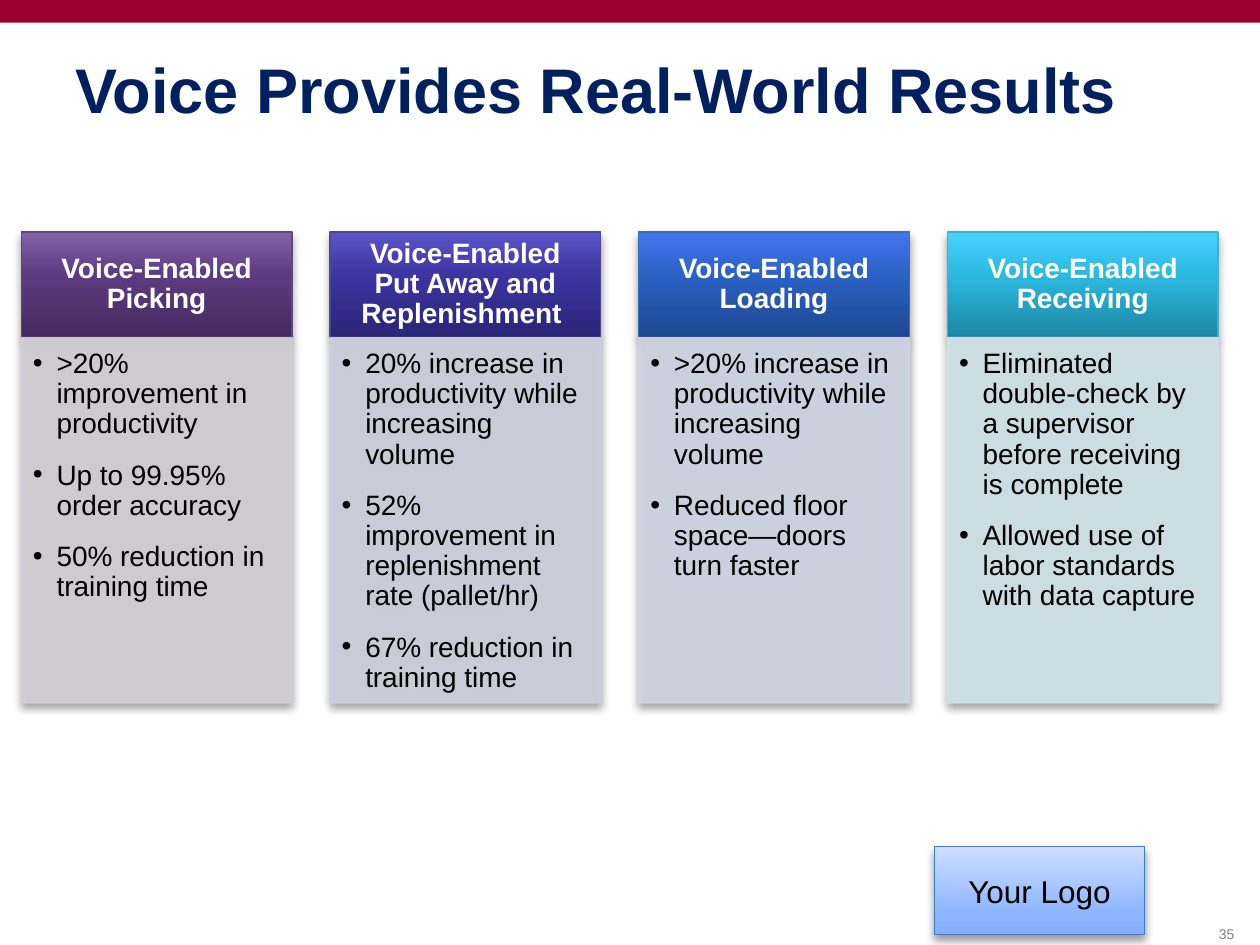
from copy import deepcopy

from lxml import etree
from pptx import Presentation
from pptx.dml.color import RGBColor
from pptx.enum.shapes import MSO_SHAPE
from pptx.enum.text import MSO_ANCHOR, MSO_AUTO_SIZE, PP_ALIGN
from pptx.oxml.ns import qn
from pptx.util import Pt

RECTANGLE = MSO_SHAPE.RECTANGLE
LEFT, CENTER = PP_ALIGN.LEFT, PP_ALIGN.CENTER
TOP, MIDDLE = MSO_ANCHOR.TOP, MSO_ANCHOR.MIDDLE
NO_FIT = MSO_AUTO_SIZE.NONE

FONT = "Arial"
COLORS = {
    "banner": "9C0030", "title": "002060", "text": "000000",
    "header_text": "FFFFFF", "number": "808080", "logo_line": "337ED9",
    "shadow": "000000",
}
LOGO_STOPS = [(0, "84AFFD"), (0.25, "8EB6FF"), (1, "CEDEFF")]
HEADER_POSITIONS = (0, 0.6, 1)

COLUMN_LEFT, COLUMN_STEP, COLUMN_WIDTH = 12.1, 176.4, 154.8
HEADER_TOP, HEADER_HEIGHT, BODY_HEIGHT = 132.5, 60.4, 208.8
HEADER_MARGINS = (8.96, 5.12, 8.96, 5.12)
BODY_MARGINS = (6.72, 6.72, 8.96, 10.08)
DEFAULT_MARGINS = (7.2, 3.6, 7.2, 3.6)
BULLET_INDENT = 13.5

# Header text, header gradient, header line, body colour, bullet points
COLUMNS = [
    ("Voice-Enabled Picking", ("442A5E", "5E3B81", "8364A8"), "604878", "D2CFD6",
     [">20% improvement in productivity",
      "Up to 99.95% order accuracy",
      "50% reduction in training time"]),
    ("Voice-Enabled Put Away and Replenishment ",
     ("2A2576", "3C35A2", "5C56C9"), "4E4893", "CFCFDE",
     ["20% increase in productivity while increasing volume",
      "52% improvement in replenishment rate (pallet/hr)",
      "67% reduction in training time"]),
    ("Voice-Enabled Loading", ("1D4791", "2B62C6", "4476F1"), "466CB0", "CFD6E4",
     [">20% increase in productivity while increasing volume",
      "Reduced floor space—doors turn faster"]),
    ("Voice-Enabled Receiving", ("1D87A4", "2BBAE0", "49D2FF"), "4BACC6", "D0E3EA",
     ["Eliminated double-check by a supervisor before receiving is complete",
      "Allowed use of labor standards with data capture"]),
]


def set_values(target, values):
    for name, value in values.items():
        setattr(target, name, value)


def add_rectangle(page, place, fill, line=None):
    """Draw a rectangle with a solid colour or a list of gradient stops."""
    box = page.shapes.add_shape(RECTANGLE, *map(Pt, place))
    box.shadow.inherit = False
    if isinstance(fill, str):
        box.fill.solid()
        box.fill.fore_color.rgb = RGBColor.from_string(fill)
    else:
        box.fill.gradient()
        box.fill.gradient_angle = 90
        stop_list = box.element.spPr.find(".//" + qn("a:gsLst"))
        stop_list.append(deepcopy(stop_list[-1]))
        for stop, (position, color) in zip(box.fill.gradient_stops, fill):
            stop.position = position
            stop.color.rgb = RGBColor.from_string(color)
    if line:
        box.line.color.rgb = RGBColor.from_string(line)
        box.line.width = Pt(0.75)
    else:
        box.line.fill.background()
    return box


def set_opacity(box, percent):
    for color in box.element.spPr.iter(qn("a:srgbClr")):
        etree.SubElement(color, qn("a:alpha"), val=str(percent * 1000))


def add_shadow(box):
    effects = box.element.spPr.find(qn("a:effectLst"))
    shadow = etree.SubElement(
        effects, qn("a:outerShdw"), blurRad=str(Pt(5.2)), dist=str(Pt(3)),
        dir=str(90 * 60000), rotWithShape="0")
    color = etree.SubElement(shadow, qn("a:srgbClr"), val=COLORS["shadow"])
    etree.SubElement(color, qn("a:alpha"), val="40000")


def add_bullet(para):
    properties = para._p.get_or_add_pPr()
    properties.set("marL", str(Pt(BULLET_INDENT)))
    properties.set("indent", str(-Pt(BULLET_INDENT)))
    etree.SubElement(properties, qn("a:buFont"), typeface=FONT)
    etree.SubElement(properties, qn("a:buChar"), char="•")


def write_text(box, lines, size, color, bold=False, align=CENTER, anchor=MIDDLE,
               margins=DEFAULT_MARGINS, spacing=1.0, bullets=False):
    frame = box.text_frame
    left, top, right, bottom = map(Pt, margins)
    set_values(frame, {
        "word_wrap": True, "auto_size": NO_FIT, "vertical_anchor": anchor,
        "margin_left": left, "margin_top": top,
        "margin_right": right, "margin_bottom": bottom,
    })
    for index, line in enumerate(lines):
        para = frame.add_paragraph() if index else frame.paragraphs[0]
        set_values(para, {"alignment": align, "line_spacing": spacing})
        if bullets:
            set_values(para, {"level": 1, "space_after": Pt(12)})
            add_bullet(para)
        span = para.add_run()
        span.text = line
        set_values(span.font, {"name": FONT, "size": Pt(size), "bold": bold})
        span.font.color.rgb = RGBColor.from_string(color)


def add_title(page, text):
    title = page.shapes.title
    set_values(title, {"left": Pt(36), "top": Pt(21.6),
                       "width": Pt(648), "height": Pt(90)})
    write_text(title, [text], 36, COLORS["title"], bold=True, align=LEFT,
               anchor=TOP, margins=(7.2, 7.2, 7.2, 3.6))


def add_column(page, index, heading, shades, line, tint, points):
    left = COLUMN_LEFT + index * COLUMN_STEP
    header = add_rectangle(page, (left, HEADER_TOP, COLUMN_WIDTH, HEADER_HEIGHT),
                           list(zip(HEADER_POSITIONS, shades)), line)
    add_shadow(header)
    write_text(header, [heading], 16, COLORS["header_text"], bold=True,
               margins=HEADER_MARGINS, spacing=0.9)

    body = add_rectangle(
        page, (left, HEADER_TOP + HEADER_HEIGHT, COLUMN_WIDTH, BODY_HEIGHT),
        tint, tint)
    set_opacity(body, 90)
    add_shadow(body)
    write_text(body, points, 16, COLORS["text"], align=LEFT, anchor=TOP,
               margins=BODY_MARGINS, spacing=0.9, bullets=True)


def main():
    deck = Presentation()
    set_values(deck, {"slide_width": Pt(720), "slide_height": Pt(540)})
    page = deck.slides.add_slide(deck.slide_layouts[5])

    # Top banner and title
    add_rectangle(page, (0, 0, 720, 13), COLORS["banner"])
    add_title(page, "Voice Provides Real-World Results")

    # Logo placeholder
    logo = add_rectangle(page, (534, 483.8, 120, 50.4), LOGO_STOPS,
                         COLORS["logo_line"])
    add_shadow(logo)
    write_text(logo, ["Your Logo"], 18, COLORS["text"])

    # Result columns
    for index, column in enumerate(COLUMNS):
        add_column(page, index, *column)

    # Page number
    number = page.shapes.add_textbox(Pt(686), Pt(519), Pt(30), Pt(29))
    write_text(number, ["35"], 8, COLORS["number"])

    deck.save("out.pptx")


if __name__ == "__main__":
    main()
